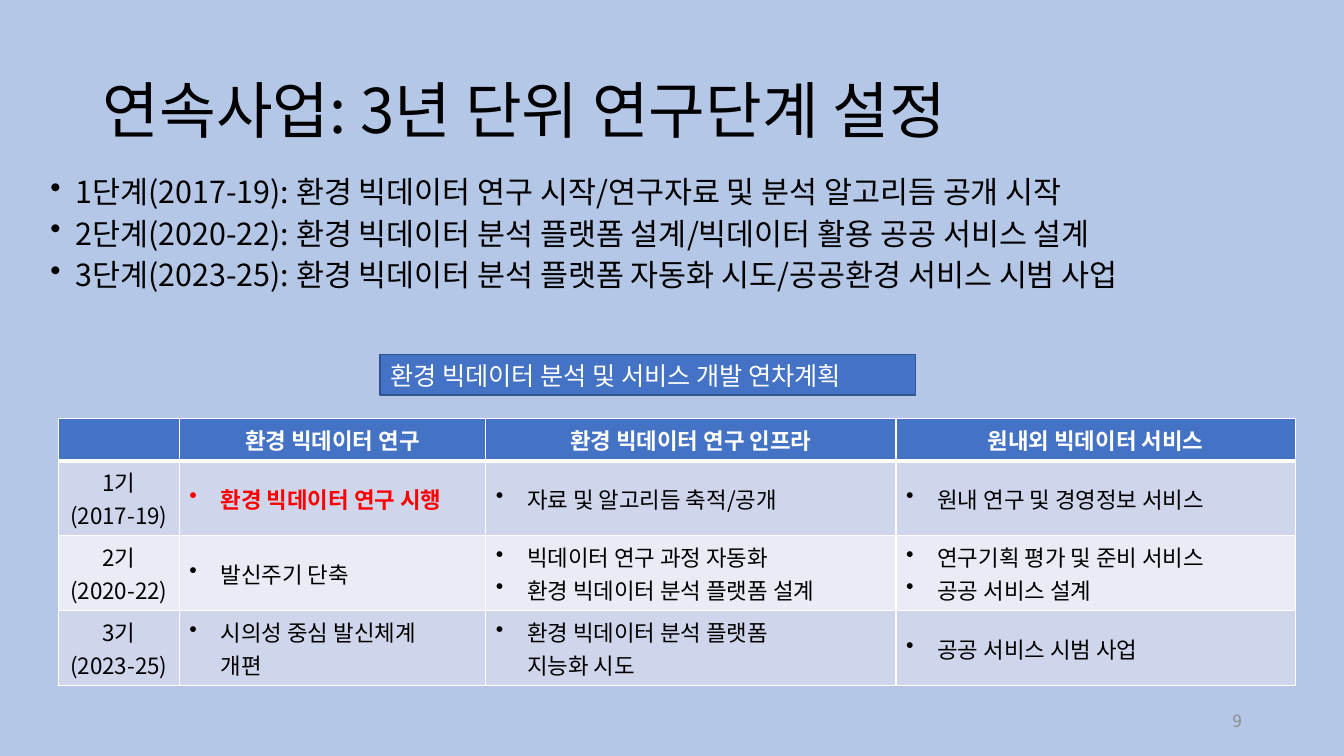
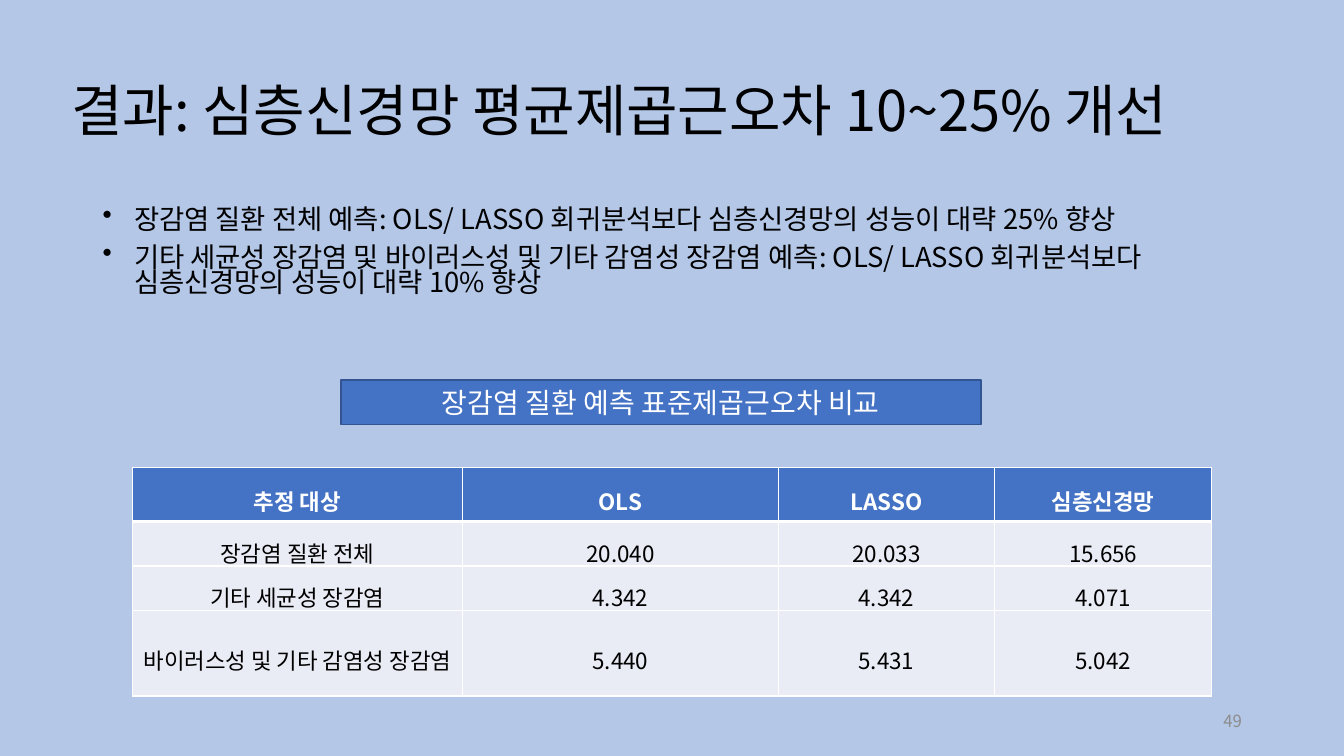
from dataclasses import dataclass

from lxml import etree
from pptx import Presentation
from pptx.dml.color import RGBColor
from pptx.enum.shapes import MSO_SHAPE
from pptx.enum.text import MSO_ANCHOR, PP_ALIGN
from pptx.oxml.ns import qn
from pptx.util import Cm, Pt

LEFT, MID, RIGHT, JUST = (
    PP_ALIGN.LEFT, PP_ALIGN.CENTER, PP_ALIGN.RIGHT, PP_ALIGN.JUSTIFY)
CENTRE, TOP = MSO_ANCHOR.MIDDLE, MSO_ANCHOR.TOP
RECT = MSO_SHAPE.RECTANGLE


@dataclass(frozen=True)
class Theme:
    """Hold the colours, font and type sizes of the deck."""

    face: str = "Noto Sans CJK KR"
    back: str = "B4C7E7"
    blue: str = "4472C4"
    edge: str = "325491"
    dark: str = "CFD5EA"
    pale: str = "E9EBF5"
    white: str = "FFFFFF"
    black: str = "000000"
    red: str = "FF0000"
    grey: str = "8C8C8C"
    cell: float = 16
    page: float = 12


LOOK = Theme()


def assign(item, form):
    """Set each attribute of an item from a dict."""
    for name, value in form.items():
        setattr(item, name, value)


def bullet(para, depth):
    """Give a paragraph a hanging bullet."""
    props = para._p.get_or_add_pPr()
    props.set("marL", str(Cm(depth)))
    props.set("indent", str(-Cm(depth)))
    etree.SubElement(props, qn("a:buChar")).set("char", "•")


def put_run(para, text, size, color, bold):
    """Add one run in the deck font."""
    run = para.add_run()
    run.text = text
    assign(run.font, {"name": LOOK.face, "size": Pt(size), "bold": bold})
    run.font.color.rgb = RGBColor.from_string(color)
    etree.SubElement(run._r.rPr, qn("a:ea")).set("typeface", LOOK.face)


def write(frame, paras, size, color=LOOK.black, bold=False, align=LEFT,
          lead=1.0, gap=0, depth=0):
    """Fill a text frame with paragraphs of one style."""
    frame.word_wrap = True
    for num, text in enumerate(paras):
        para = frame.add_paragraph() if num else frame.paragraphs[0]
        assign(para, {"alignment": align, "line_spacing": lead,
                      "space_before": Pt(gap if num else 0)})
        if depth:
            bullet(para, depth)
        for row, line in enumerate(text.split("\n")):
            if row:
                para.add_line_break()
            put_run(para, line, size, color, bold)


def add_text(slide, box, paras, anchor=CENTRE, **style):
    """Place a text box."""
    frame = slide.shapes.add_textbox(*map(Cm, box)).text_frame
    frame.vertical_anchor = anchor
    if anchor == TOP:
        assign(frame, {"margin_top": Cm(0.2), "margin_bottom": Cm(0.2)})
    write(frame, paras, **style)


def add_title(slide, box, text, size):
    """Place the slide title."""
    add_text(slide, box, [text], size=size, lead=0.9)


def add_list(slide, box, items, **style):
    """Place the bullet list under the title."""
    add_text(slide, box, items, anchor=TOP, lead=0.75, gap=10, **style)


def add_band(slide, box, text, size, align):
    """Place the blue caption band above a table."""
    band = slide.shapes.add_shape(RECT, *map(Cm, box))
    band.shadow.inherit = False
    band.fill.solid()
    band.fill.fore_color.rgb = RGBColor.from_string(LOOK.blue)
    band.line.color.rgb = RGBColor.from_string(LOOK.edge)
    band.line.width = Pt(1)
    band.text_frame.vertical_anchor = CENTRE
    write(band.text_frame, [text], size, LOOK.white, align=align)


def add_page(slide, number):
    """Place the page number."""
    add_text(slide, (23.93, 17.65, 7.62, 1.02), [str(number)],
             size=LOOK.page, color=LOOK.grey, align=RIGHT)


def paint(cell, color, base):
    """Fill a cell and draw its white borders."""
    cell.fill.solid()
    cell.fill.fore_color.rgb = RGBColor.from_string(color)
    props = cell._tc.get_or_add_tcPr()
    sides = {"lnL": 1, "lnR": 1, "lnT": 1, "lnB": base}
    for num, (side, width) in enumerate(sides.items()):
        line = etree.Element(qn(f"a:{side}"), w=str(Pt(width)))
        fill = etree.SubElement(line, qn("a:solidFill"))
        etree.SubElement(fill, qn("a:srgbClr")).set("val", LOOK.white)
        props.insert(num, line)


def add_grid(slide, spot, cols, rows, data, fills, style, inset=None):
    """Place a table whose cells are styled by a rule of row and column."""
    box = (*spot, sum(cols), sum(rows))
    grid = slide.shapes.add_table(
        len(rows), len(cols), *map(Cm, box)).table
    for col, width in zip(grid.columns, cols):
        col.width = Cm(width)
    for y, (height, line) in enumerate(zip(rows, data)):
        grid.rows[y].height = Cm(height)
        for x, text in enumerate(line):
            cell = grid.cell(y, x)
            cell.vertical_anchor = CENTRE
            assign(cell, inset or {})
            paint(cell, fills[y], 1 if y else 3)
            paras = [text] if isinstance(text, str) else text
            if any(paras):
                write(cell.text_frame, paras, LOOK.cell, **style(y, x))


def plan_style(y, x):
    """Style a cell of the plan table."""
    if y == 0:
        return {"color": LOOK.white, "bold": True, "align": MID}
    if x == 0:
        return {"align": MID}
    hot = (y, x) == (1, 1)
    return {"depth": 0.79, "bold": hot,
            "color": LOOK.red if hot else LOOK.black}


def score_style(y, x):
    """Style a cell of the score table."""
    if y == 0:
        return {"color": LOOK.white, "bold": True, "align": MID,
                "lead": 1.35}
    return {"align": MID, "lead": 1.4}


def plan_slide(slide):
    """Build the slide of research stages."""
    add_title(slide, (2.34, 1.02, 29.21, 3.68),
              "연속사업: 3년 단위 연구단계 설정", 44)
    add_list(slide, (1.02, 4.39, 31.62, 4.37), [
        "1단계(2017-19): 환경 빅데이터 연구 시작/연구자료 및 분석 알고리듬 공개 시작",
        "2단계(2020-22): 환경 빅데이터 분석 플랫폼 설계/빅데이터 활용 공공 서비스 설계",
        "3단계(2023-25): 환경 빅데이터 분석 플랫폼 자동화 시도/공공환경 서비스 시범 사업",
    ], size=21.7, align=JUST, depth=0.64)
    data = [
        ["", "환경 빅데이터 연구", "환경 빅데이터 연구 인프라",
         "원내외 빅데이터 서비스"],
        [["1기", "(2017-19)"], "환경 빅데이터 연구 시행",
         "자료 및 알고리듬 축적/공개", "원내 연구 및 경영정보 서비스"],
        [["2기", "(2020-22)"], "발신주기 단축",
         ["빅데이터 연구 과정 자동화", "환경 빅데이터 분석 플랫폼 설계"],
         ["연구기획 평가 및 준비 서비스", "공공 서비스 설계"]],
        [["3기", "(2023-25)"], "시의성 중심 발신체계\n개편",
         "환경 빅데이터 분석 플랫폼\n지능화 시도", "공공 서비스 시범 사업"],
    ]
    add_grid(slide, (1.47, 10.54), (3.05, 7.72, 10.34, 10.06),
             (1.07, 1.89, 1.89, 1.89), data,
             (LOOK.blue, LOOK.dark, LOOK.pale, LOOK.dark), plan_style)
    add_band(slide, (9.58, 8.94, 13.49, 1.02),
             "환경 빅데이터 분석 및 서비스 개발 연차계획", 18, LEFT)
    add_page(slide, 9)


def score_slide(slide):
    """Build the slide of model errors."""
    add_title(slide, (1.55, 1.02, 31.19, 3.68),
              "결과: 심층신경망 평균제곱근오차 10~25% 개선", 40)
    add_list(slide, (2.34, 5.08, 29.21, 3.1), [
        "장감염 질환 전체 예측: OLS/ LASSO 회귀분석보다 심층신경망의 성능이 대략 25% 향상",
        "기타 세균성 장감염 및 바이러스성 및 기타 감염성 장감염 예측: "
        "OLS/ LASSO 회귀분석보다 심층신경망의 성능이 대략 10% 향상",
    ], size=19.6, depth=0.79)
    add_band(slide, (8.59, 9.58, 16.13, 1.12),
             "장감염 질환 예측 표준제곱근오차 비교", 20, MID)
    data = [
        ["추정 대상", "OLS", "LASSO", "심층신경망"],
        ["장감염 질환 전체", "20.040", "20.033", "15.656"],
        ["기타 세균성 장감염", "4.342", "4.342", "4.071"],
        ["바이러스성 및 기타 감염성 장감염", "5.440", "5.431", "5.042"],
    ]
    inset = {"margin_left": Cm(0.18), "margin_right": Cm(0.18),
             "margin_top": Cm(0.05), "margin_bottom": Cm(0.05)}
    add_grid(slide, (3.33, 11.79), (8.33, 7.95, 5.46, 5.46),
             (1.35, 1.12, 1.12, 2.16), data,
             (LOOK.blue, LOOK.pale, LOOK.pale, LOOK.pale), score_style,
             inset)
    add_page(slide, 49)


def main():
    """Build and save the deck."""
    deck = Presentation()
    assign(deck, {"slide_width": Cm(33.87), "slide_height": Cm(19.05)})
    fill = deck.slide_master.background.fill
    fill.solid()
    fill.fore_color.rgb = RGBColor.from_string(LOOK.back)
    for build in (plan_slide, score_slide):
        build(deck.slides.add_slide(deck.slide_layouts[6]))
    deck.save("out.pptx")


if __name__ == "__main__":
    main()
